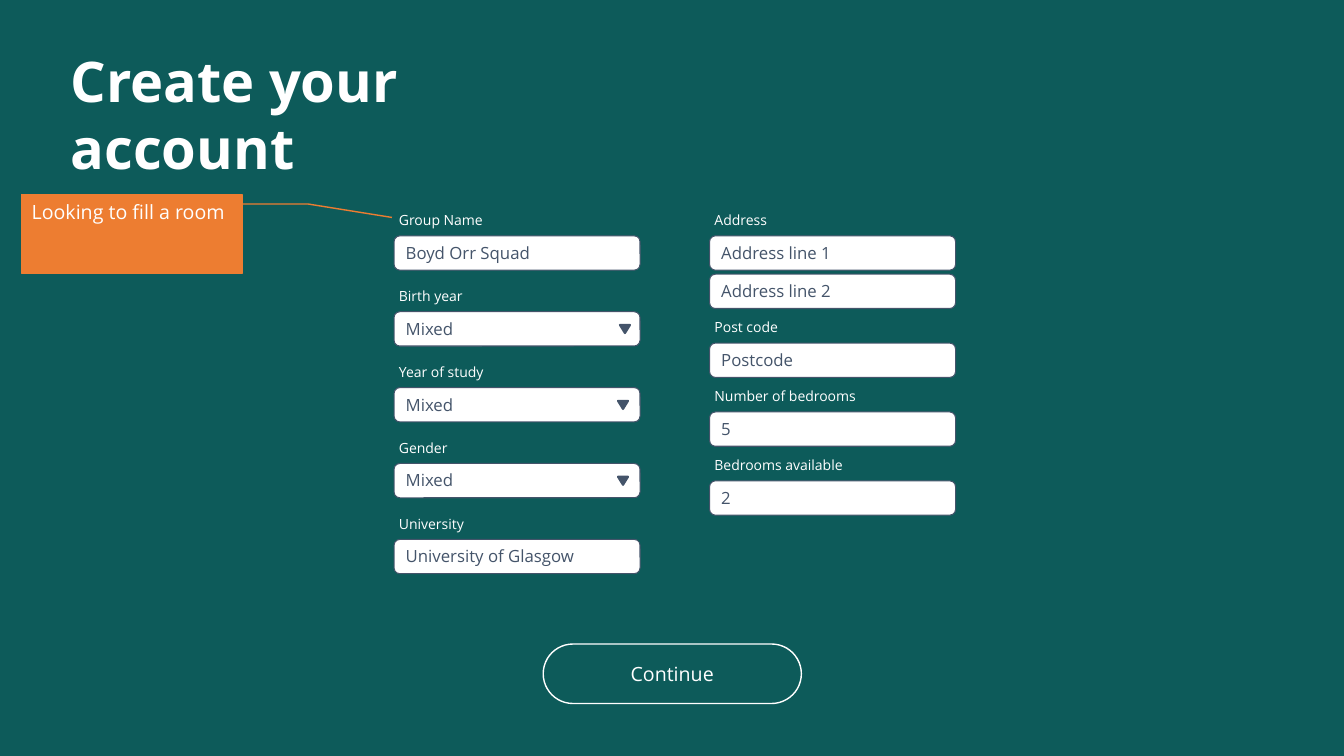
from pptx import Presentation
from pptx import util as u
from pptx.dml.color import RGBColor
from pptx.enum import shapes, text

COLOURS = {"teal": "0D5B5A", "white": "FFFFFF", "slate": "44546A", "orange": "ED7D31"}
GROWING = {"word_wrap": True, "auto_size": text.MSO_AUTO_SIZE.SHAPE_TO_FIT_TEXT}
TOP = {"vertical_anchor": text.MSO_ANCHOR.TOP}
MIDDLE = {"vertical_anchor": text.MSO_ANCHOR.MIDDLE}

FORM_TOP = 147.6
FIELD_WIDTH, FIELD_HEIGHT, LABEL_HEIGHT = 175.7, 24.5, 19.4
LABEL_TO_FIELD, FIELD_TO_FIELD = 20.9, 27.4
FIELD_INDENT = 3.6

# Label, field values, left of the dropdown arrow within its field (or None)
GROUP_DETAILS = [
    ("Group Name", ["Boyd Orr Squad"], None),
    ("Birth year", ["Mixed"], 161.3),
    ("Year of study", ["Mixed"], 159.9),
    ("Gender", ["Mixed"], 159.9),
    ("University", ["University of Glasgow"], None),
]
HOME_DETAILS = [
    ("Address", ["Address line 1", "Address line 2"], None),
    ("Post code", ["Postcode"], None),
    ("Number of bedrooms", ["5"], None),
    ("Bedrooms available", ["2"], None),
]


def points(*lengths):
    return [u.Pt(length) for length in lengths]


def colour(name):
    return RGBColor.from_string(COLOURS[name])


class FormSlide:
    font = "Open Sans"

    def __init__(self, deck):
        self.slide = deck.slides.add_slide(deck.slide_layouts[5])
        background = self.slide.background.fill
        background.solid()
        background.fore_color.rgb = colour("teal")

    def set_words(self, shape, words, size, ink="white", bold=False,
                  align=text.PP_ALIGN.LEFT, **frame_format):
        frame = shape.text_frame
        frame.text = words
        for name, value in frame_format.items():
            setattr(frame, name, value)
        paragraph = frame.paragraphs[0]
        paragraph.alignment = align
        font = paragraph.runs[0].font
        for name, value in {"name": self.font, "size": u.Pt(size), "bold": bold}.items():
            setattr(font, name, value)
        font.color.rgb = colour(ink)

    def title(self, words, box):
        title = self.slide.shapes.title
        for name, value in zip(("left", "top", "width", "height"), points(*box)):
            setattr(title, name, value)
        self.set_words(title, words, 40, bold=True, **GROWING, **MIDDLE)

    def shape(self, kind, box, fill, line, weight, parent=None):
        shape = (parent or self.slide).shapes.add_shape(kind, *points(*box))
        shape.shadow.inherit = False
        if fill:
            shape.fill.solid()
            shape.fill.fore_color.rgb = colour(fill)
        else:
            shape.fill.background()
        shape.line.color.rgb = colour(line)
        shape.line.width = u.Pt(weight)
        return shape

    def label(self, group, words, left, top):
        label = group.shapes.add_textbox(*points(left, top, FIELD_WIDTH, LABEL_HEIGHT))
        self.set_words(label, words, 10, **GROWING)

    def field(self, group, words, left, top):
        field = self.shape(shapes.MSO_SHAPE.ROUNDED_RECTANGLE,
                           (left, top, FIELD_WIDTH, FIELD_HEIGHT),
                           "white", "slate", 0.75, group)
        self.set_words(field, words, 12, "slate", **GROWING, **TOP)

    def dropdown_arrow(self, group, left, top):
        arrow = self.shape(shapes.MSO_SHAPE.ISOSCELES_TRIANGLE, (left, top, 7.2, 5.8),
                           "slate", "slate", 1.5, group)
        arrow.rotation = 180

    def form_column(self, left, step, questions):
        """Stack questions; step runs from the last field's top to the next label."""
        top = FORM_TOP
        field_left = left + FIELD_INDENT
        for question, answers, arrow_offset in questions:
            group = self.slide.shapes.add_group_shape()
            self.label(group, question, left, top)
            first_field = top + LABEL_TO_FIELD
            for row, answer in enumerate(answers):
                self.field(group, answer, field_left, first_field + row * FIELD_TO_FIELD)
            if arrow_offset:
                self.dropdown_arrow(group, field_left + arrow_offset, first_field + 9.4)
            top = first_field + (len(answers) - 1) * FIELD_TO_FIELD + step

    def button(self, words, box):
        button = self.shape(shapes.MSO_SHAPE.ROUNDED_RECTANGLE, box, None, "white", 1)
        button.adjustments[0] = 0.5
        self.set_words(button, words, 14, align=text.PP_ALIGN.CENTER, **MIDDLE)

    def callout(self, words, box, leader):
        """Draw a box with a bent leader; leader holds y, x pairs as parts of the box."""
        callout = self.shape(shapes.MSO_SHAPE.LINE_CALLOUT_2, box, "orange", "orange", 1)
        for index, part in enumerate(leader):
            callout.adjustments[index] = part
        self.set_words(callout, words, 14, word_wrap=True, **TOP)


def main():
    deck = Presentation()
    deck.slide_width, deck.slide_height = points(960, 540)
    account = FormSlide(deck)
    account.title("Create your account", (43.2, 28.8, 287.3, 104.4))
    account.button("Continue", (388, 460, 184.4, 42.5))
    account.form_column(277.9, 33.3, GROUP_DETAILS)
    account.form_column(503.3, 28.3, HOME_DETAILS)
    account.callout("Looking to fill a room", (15.5, 139, 157.4, 56.2),
                    (0.12, 0.99, 0.12, 1.3, 0.29, 1.68))
    deck.save("out.pptx")


if __name__ == "__main__":
    main()
